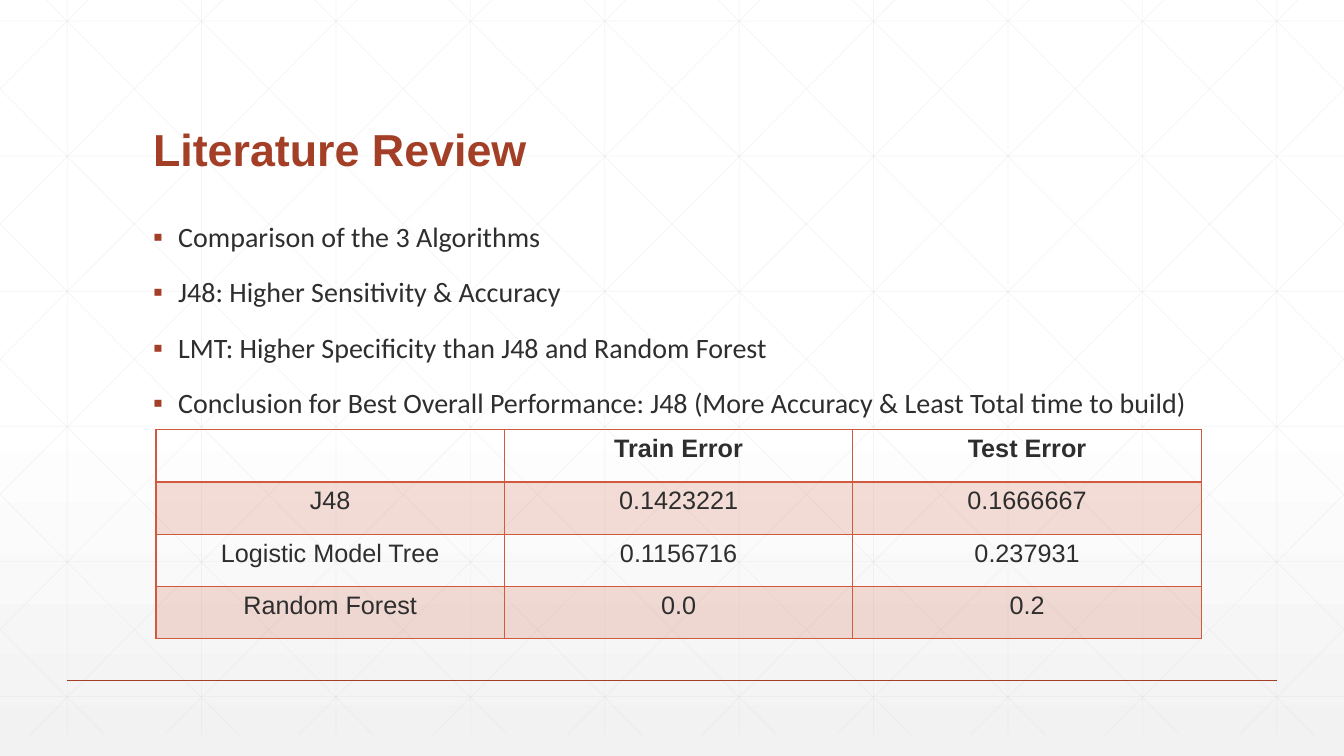
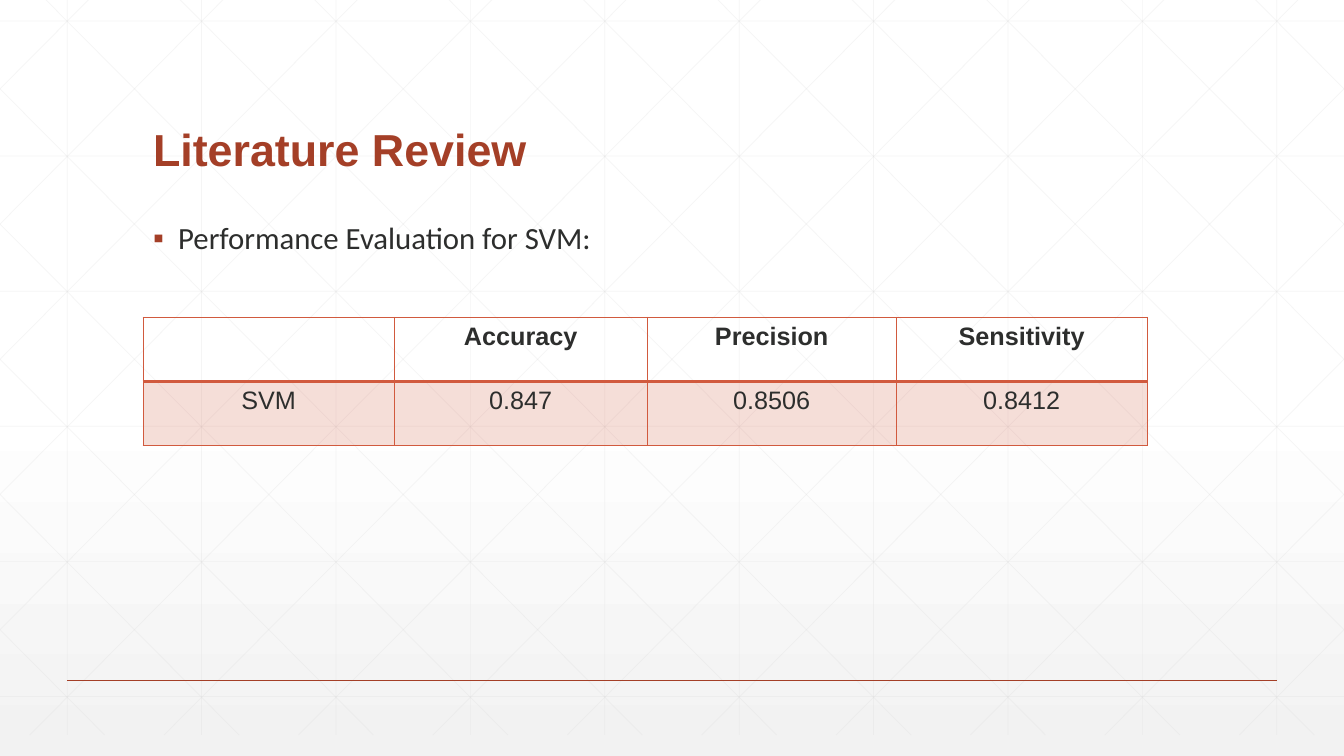
from copy import deepcopy
from dataclasses import dataclass

from lxml import etree
from pptx import Presentation, util as u
from pptx.dml.color import RGBColor
from pptx.enum import shapes, text
from pptx.oxml.ns import qn
from pptx.slide import Slide, SlideLayout
from pptx.table import _Cell
from pptx.text.text import Font, TextFrame


@dataclass(frozen=True)
class Theme:
    white: str = "FFFFFF"
    shade: str = "F2F2F2"
    grid: str = "D9D9D9"
    accent: str = "A43F27"
    table: str = "D15A3E"
    ink: str = "2D2E2D"
    heading_font: str = "Arial"
    body_font: str = "Calibri"
    title_size: float = 32
    cell_size: float = 18
    grid_opacity: int = 25
    band_opacity: int = 20


@dataclass(frozen=True)
class ErrorTable:
    left: float
    top: float
    widths: tuple[float, ...]
    row_height: float
    rows: tuple[tuple[str, ...], ...]


@dataclass(frozen=True)
class Review:
    bullets: tuple[str, ...]
    bullet_size: float
    results: ErrorTable


THEME = Theme()
WIDTH, HEIGHT = 960, 540
TITLE = "Literature Review"
TEXT_LEFT, TEXT_WIDTH = 102.24, 756

REVIEWS = (
    Review(
        (
            "Comparison of the 3 Algorithms",
            "J48: Higher Sensitivity & Accuracy",
            "LMT: Higher Specificity than J48 and Random Forest",
            "Conclusion for Best Overall Performance: J48 "
            "(More Accuracy & Least Total time to build)",
        ),
        20,
        ErrorTable(111.4, 306.8, (248.9,) * 3, 37.4, (
            ("", "Train Error", "Test Error"),
            ("J48", "0.1423221", "0.1666667"),
            ("Logistic Model Tree", "0.1156716", "0.237931"),
            ("Random Forest", "0.0", "0.2"),
        )),
    ),
    Review(
        ("Performance Evaluation for SVM:",),
        22,
        ErrorTable(TEXT_LEFT, 226.8, (179.3, 180.8, 177.8, 179.3), 45.8, (
            ("", "Accuracy", "Precision", "Sensitivity"),
            ("SVM", "0.847", "0.8506", "0.8412"),
        )),
    ),
)


def rgb(colour: str) -> RGBColor:
    return RGBColor.from_string(colour)


def set_opacity(parent: etree._Element, percent: int) -> None:
    colour = next(parent.iter(qn("a:srgbClr")))
    etree.SubElement(colour, qn("a:alpha"), val=str(percent * 1000))


def style_font(font: Font, name: str, size: float, colour: str,
               bold: bool = False) -> None:
    font.name = name
    font.size = u.Pt(size)
    font.bold = bold
    font.color.rgb = rgb(colour)


def add_line(slide: Slide, start: tuple[float, float], end: tuple[float, float],
             colour: str, weight: float, opacity: int = 100) -> None:
    line = slide.shapes.add_connector(
        shapes.MSO_CONNECTOR.STRAIGHT, *(u.Pt(v) for v in (*start, *end)))
    line.line.color.rgb = rgb(colour)
    line.line.width = u.Pt(weight)
    properties = line.element.spPr
    if opacity < 100:
        set_opacity(properties, opacity)
    etree.SubElement(properties, qn("a:effectLst"))


def draw_grid(slide: Slide) -> None:
    """Draw the square lattice and both families of diagonals, cut at the edges."""
    top, bottom, pitch, slope = -15, 525, 96, 0.994
    segments = [((x, top), (x, bottom)) for x in range(48, WIDTH, pitch)]
    for row in range(6):
        y = 15 + 96.5 * row
        segments.append(((0, y), (WIDTH, y)))
    for column in range(-5, 10):
        origin = 18 + pitch * column
        x1 = max(origin, 0)
        x2 = min(origin + slope * (bottom - top), WIDTH)
        y1, y2 = (top + (x - origin) / slope for x in (x1, x2))
        segments.append(((x1, y1), (x2, y2)))
        segments.append(((WIDTH - x1, y1), (WIDTH - x2, y2)))
    for start, end in segments:
        add_line(slide, start, end, THEME.grid, 0.5, THEME.grid_opacity)


def fill_background(layout: SlideLayout) -> None:
    fill = layout.background.fill
    fill.gradient()
    fill.gradient_angle = 270
    stop_list = next(layout.element.iter(qn("a:gsLst")))
    stop_list.insert(1, deepcopy(stop_list[0]))
    stops = ((0, THEME.white), (0.53, THEME.white), (1, THEME.shade))
    for stop, (position, colour) in zip(fill.gradient_stops, stops):
        stop.position = position
        stop.color.rgb = rgb(colour)


def build_layout(layout: SlideLayout, slide: Slide) -> None:
    """Draw the shared backdrop on an empty slide, then move it to the layout."""
    for placeholder in list(layout.placeholders):
        placeholder.element.getparent().remove(placeholder.element)
    fill_background(layout)
    draw_grid(slide)
    add_line(slide, (48, 486), (912, 486), THEME.accent, 1)
    for line in list(slide.shapes):
        layout.shapes.element.append(line.element)


def add_text_frame(slide: Slide, top: float, height: float) -> TextFrame:
    frame = slide.shapes.add_textbox(
        *(u.Pt(v) for v in (TEXT_LEFT, top, TEXT_WIDTH, height))).text_frame
    frame.word_wrap = True
    return frame


def add_title(slide: Slide) -> None:
    frame = add_text_frame(slide, 39.6, 90)
    frame.vertical_anchor = text.MSO_ANCHOR.BOTTOM
    frame.text = TITLE
    heading = frame.paragraphs[0]
    heading.line_spacing = 0.9
    style_font(heading.runs[0].font, THEME.heading_font, THEME.title_size,
               THEME.accent, bold=True)


def add_bullets(slide: Slide, bullets: tuple[str, ...], size: float) -> None:
    frame = add_text_frame(slide, 156, 300)
    frame.text = "\n".join(bullets)
    for point in frame.paragraphs:
        point.line_spacing = 0.9
        point.space_before = u.Pt(18)
        style_font(point.runs[0].font, THEME.body_font, size, THEME.ink)
        properties = point._p.get_or_add_pPr()
        properties.set("marL", str(u.Pt(18)))
        properties.set("indent", str(u.Pt(-18)))
        bullet_colour = etree.SubElement(properties, qn("a:buClr"))
        etree.SubElement(bullet_colour, qn("a:srgbClr"), val=THEME.accent)
        etree.SubElement(properties, qn("a:buFont"), typeface=THEME.heading_font)
        etree.SubElement(properties, qn("a:buChar"), char="▪")


def style_cell(cell: _Cell, is_header: bool, is_banded: bool) -> None:
    properties = cell._tc.get_or_add_tcPr()
    for side in "LRTB":
        weight = 2 if is_header and side == "B" else 1
        border = etree.SubElement(properties, qn(f"a:ln{side}"), w=str(u.Pt(weight)))
        border_fill = etree.SubElement(border, qn("a:solidFill"))
        etree.SubElement(border_fill, qn("a:srgbClr"), val=THEME.table)
    if is_banded:
        cell.fill.solid()
        cell.fill.fore_color.rgb = rgb(THEME.table)
        set_opacity(properties.find(qn("a:solidFill")), THEME.band_opacity)
    else:
        cell.fill.background()
    entry = cell.text_frame.paragraphs[0]
    entry.alignment = text.PP_ALIGN.CENTER
    for run in entry.runs:
        style_font(run.font, THEME.heading_font, THEME.cell_size, THEME.ink, is_header)


def add_results(slide: Slide, results: ErrorTable) -> None:
    row_count = len(results.rows)
    table = slide.shapes.add_table(
        row_count, len(results.widths), u.Pt(results.left), u.Pt(results.top),
        u.Pt(sum(results.widths)), u.Pt(results.row_height * row_count)).table
    table.first_row = table.horz_banding = False
    for column, width in zip(table.columns, results.widths):
        column.width = u.Pt(width)
    for index, (row, values) in enumerate(zip(table.rows, results.rows)):
        row.height = u.Pt(results.row_height)
        for cell, value in zip(row.cells, values):
            cell.text_frame.text = value
            style_cell(cell, is_header=index == 0, is_banded=index % 2 == 1)


def main() -> None:
    deck = Presentation()
    deck.slide_width, deck.slide_height = u.Pt(WIDTH), u.Pt(HEIGHT)
    blank = deck.slide_layouts[6]
    slides = [deck.slides.add_slide(blank) for _ in REVIEWS]
    build_layout(blank, slides[0])
    for slide, review in zip(slides, REVIEWS):
        add_title(slide)
        add_bullets(slide, review.bullets, review.bullet_size)
        add_results(slide, review.results)
    deck.save("out.pptx")


if __name__ == "__main__":
    main()
